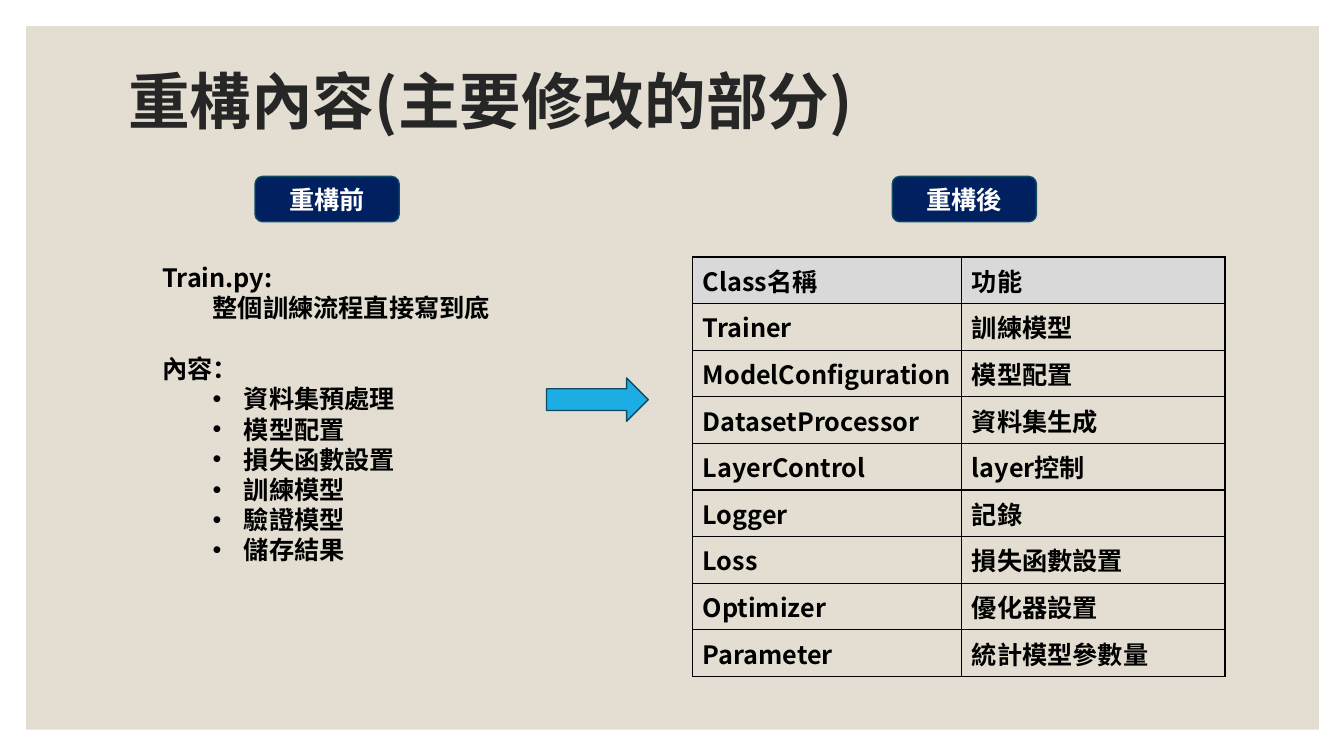
import pptx
import pptx.util
import pptx.dml.color
import pptx.enum.shapes
import pptx.enum.text
import pptx.oxml
import pptx.oxml.ns

FACE = "Noto Sans CJK SC"
CELL = 0.25  # inches per grid column and row
NAVY, EDGE, BLUE = "002060", "0C4C64", "1CADE4"
SAND, GREY, INK = "E3DED1", "D9D9D9", "262626"
BLACK, WHITE = "000000", "FFFFFF"
SHAPE = pptx.enum.shapes.MSO_SHAPE
ALIGN = pptx.enum.text.PP_ALIGN
ANCHOR = pptx.enum.text.MSO_ANCHOR


def color(code):
    return pptx.dml.color.RGBColor.from_string(code)


def grid(*cells):
    return [pptx.util.Inches(n * CELL) for n in cells]


def node(text):
    space = pptx.oxml.ns.nsdecls("a")
    return pptx.oxml.parse_xml(text.replace("/>", f" {space}/>", 1)
                               if text.endswith("/>") and text.count("<") == 1
                               else text.replace(">", f" {space}>", 1))


class Page:
    def __init__(self, deck):
        self.deck = deck
        self.slide = deck.slides.add_slide(deck.slide_layouts[1])
        self.shapes = self.slide.shapes

    def style(self, para, size=18, ink=BLACK):
        font = para.font
        font.size, font.bold, font.name = pptx.util.Pt(size), True, FACE
        font.color.rgb = color(ink)
        rule = para._p.pPr.find(pptx.oxml.ns.qn("a:defRPr"))
        rule.append(node(f'<a:ea typeface="{FACE}"/>'))

    def place(self, item, box):
        item.left, item.top, item.width, item.height = grid(*box)

    def title(self, text, box):
        item = self.shapes.title
        self.place(item, box)
        frame = item.text_frame
        frame.text = text
        frame.vertical_anchor = ANCHOR.MIDDLE
        frame.auto_size = pptx.enum.text.MSO_AUTO_SIZE.NONE
        para = frame.paragraphs[0]
        para.alignment, para.line_spacing = ALIGN.LEFT, 0.9
        self.style(para, 44, INK)

    def body(self, lines, box):
        """Each line is (text, left indent, hang, points before)."""
        item = self.slide.placeholders[1]
        self.place(item, box)
        frame = item.text_frame
        frame.auto_size = pptx.enum.text.MSO_AUTO_SIZE.NONE
        frame.text = "\n".join(line[0] for line in lines)
        for para, (_, left, hang, gap) in zip(frame.paragraphs, lines):
            para.level = 1 if hang else 0
            para.space_before = pptx.util.Pt(gap)
            rule = para._p.get_or_add_pPr()
            left, hang = grid(left, hang)
            rule.set("marL", str(left))
            rule.set("indent", str(-hang))
            if hang:
                rule.append(node('<a:buFont typeface="Arial"/>'))
                rule.append(node('<a:buChar char="•"/>'))
            else:
                rule.append(node("<a:buNone/>"))
            self.style(para)

    def shape(self, kind, box, fill, edge=None, text=""):
        item = self.shapes.add_shape(kind, *grid(*box))
        item.shadow.inherit = False
        item.fill.solid()
        item.fill.fore_color.rgb = color(fill)
        if edge:
            item.line.color.rgb = color(edge)
            item.line.width = pptx.util.Pt(1)
        else:
            item.line.fill.background()
        if text:
            frame = item.text_frame
            frame.text = text
            frame.vertical_anchor = ANCHOR.MIDDLE
            frame.paragraphs[0].alignment = ALIGN.CENTER
            self.style(frame.paragraphs[0], ink=WHITE)
        return item

    def panel(self, box, fill):
        item = self.shape(SHAPE.RECTANGLE, box, fill)
        # The panel belongs to the master, behind all else
        self.deck.slide_master.element.cSld.spTree.insert(2, item._element)

    def table(self, rows, spot, cols, tall):
        box = grid(*spot, sum(cols), tall * len(rows))
        table = self.shapes.add_table(len(rows), len(cols), *box).table
        table.first_row = table.horz_banding = False
        for col, wide in zip(table.columns, grid(*cols)):
            col.width = wide
        for r, row in enumerate(rows):
            table.rows[r].height = grid(tall)[0]
            for c, text in enumerate(row):
                cell = table.cell(r, c)
                cell.text = text
                self.style(cell.text_frame.paragraphs[0])
                if r == 0:
                    cell.fill.solid()
                    cell.fill.fore_color.rgb = color(GREY)
                else:
                    cell.fill.background()
                self.frame(cell)

    def frame(self, cell):
        rule = cell._tc.get_or_add_tcPr()
        for i, side in enumerate("LRTB"):
            rule.insert(i, node(
                f'<a:ln{side} w="12700"><a:solidFill><a:srgbClr val="{BLACK}"/>'
                f"</a:solidFill></a:ln{side}>"))


def main():
    deck = pptx.Presentation()
    deck.slide_width = pptx.util.Inches(13.33)
    deck.slide_height = pptx.util.Inches(7.5)
    page = Page(deck)

    # Backdrop and title
    page.panel((1.04, 1.04, 51.28, 27.92), SAND)
    page.title("重構內容(主要修改的部分)", (4.68, 1.16, 44, 6))

    # Before and after labels
    for left, text in ((10.12, "重構前"), (35.4, "重構後")):
        page.shape(SHAPE.ROUNDED_RECTANGLE, (left, 7, 5.72, 1.8), NAVY, EDGE, text)

    # Before: one script
    steps = ("資料集預處理", "模型配置", "損失函數設置",
             "訓練模型", "驗證模型", "儲存結果")
    lines = [("Train.py:", 0, 0, 0), ("整個訓練流程直接寫到底", 2, 0, 0),
             ("內容：", 0, 0, 22)]
    lines += [(step, 3.24, 1.24, 0) for step in steps]
    page.body(lines, (6.04, 10.2, 13.88, 12.52))

    # After: one class per task
    rows = (("Class名稱", "功能"), ("Trainer", "訓練模型"),
            ("ModelConfiguration", "模型配置"),
            ("DatasetProcessor", "資料集生成"),
            ("LayerControl", "layer控制"), ("Logger", "記錄"),
            ("Loss", "損失函數設置"), ("Optimizer", "優化器設置"),
            ("Parameter", "統計模型參數量"))
    page.table(rows, (27.48, 10.2), (10.68, 10.44), 1.6)

    # Arrow from before to after
    page.shape(SHAPE.RIGHT_ARROW, (21.68, 15, 4.04, 1.72), BLUE, EDGE)

    deck.save("out.pptx")


if __name__ == "__main__":
    main()
